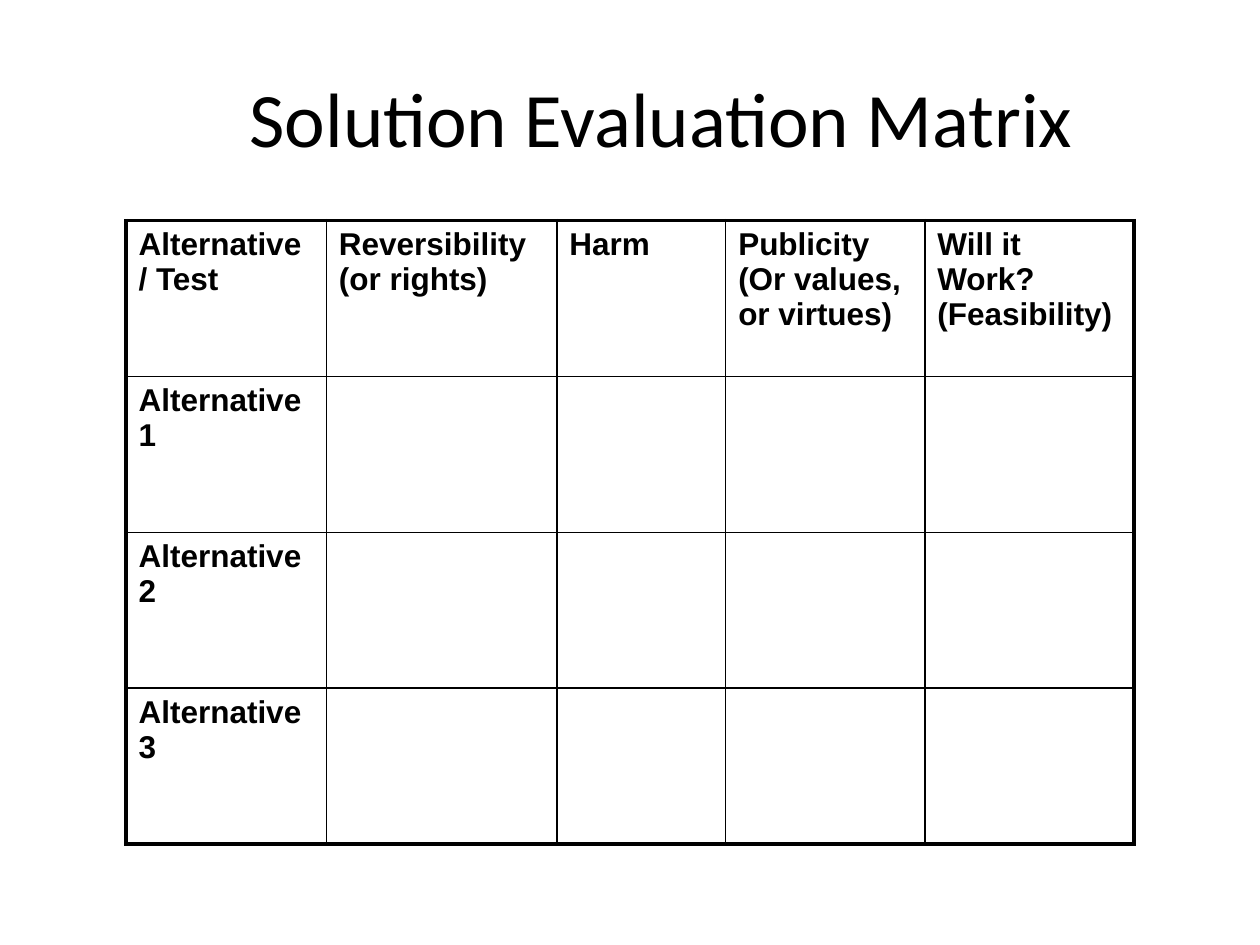
"""Build the Solution Evaluation Matrix slide."""
from dataclasses import dataclass

from lxml import etree
from pptx import Presentation
from pptx.dml.color import RGBColor
from pptx.enum.text import MSO_ANCHOR, PP_ALIGN
from pptx.oxml.ns import qn
from pptx.util import Inches, Pt

CENTER = PP_ALIGN.CENTER
MIDDLE = MSO_ANCHOR.MIDDLE
COLORS = {"ink": "000000", "paper": "FFFFFF"}
SLIDE_WIDTH, SLIDE_HEIGHT = Inches(10), Inches(7.5)
OUTER_LINE, INNER_LINE = Pt(2.25), Pt(1)


@dataclass(frozen=True)
class Area:
    """A rectangle in shares of the slide's size."""
    left: float
    top: float
    width: float
    height: float

    def lengths(self) -> tuple[int, int, int, int]:
        return (int(self.left * SLIDE_WIDTH), int(self.top * SLIDE_HEIGHT),
                int(self.width * SLIDE_WIDTH), int(self.height * SLIDE_HEIGHT))


@dataclass(frozen=True)
class Criterion:
    """A matrix column: its heading and its width in hundredths of an inch."""
    heading: str
    width: int


TITLE_AREA = Area(0.1, 0.04, 0.85, 1 / 6)
MATRIX_AREA = Area(0.1, 1.75 / 7.5, 0.8, 0.66)
CRITERIA = [
    Criterion("Alternative / Test", 159),
    Criterion("Reversibility (or rights)", 183),
    Criterion("Harm", 134),
    Criterion("Publicity (Or values, or virtues)", 158),
    Criterion("Will it Work? (Feasibility)", 166),
]
ALTERNATIVES = [f"Alternative {number}" for number in range(1, 4)]


def style_font(font, name: str, size: float, bold: bool = False) -> None:
    font.name, font.size, font.bold = name, Pt(size), bold
    font.color.rgb = RGBColor.from_string(COLORS["ink"])


def add_border(cell, side: str, width: int) -> None:
    line = etree.SubElement(cell._tc.get_or_add_tcPr(), qn(f"a:ln{side}"), w=str(width))
    fill = etree.SubElement(line, qn("a:solidFill"))
    etree.SubElement(fill, qn("a:srgbClr"), val=COLORS["ink"])


def add_title(slide, wording: str) -> None:
    frame = slide.shapes.add_textbox(*TITLE_AREA.lengths()).text_frame
    frame.word_wrap = True
    frame.vertical_anchor = MIDDLE
    heading = frame.paragraphs[0]
    heading.text, heading.alignment = wording, CENTER
    style_font(heading.font, "Calibri", 44)


def add_matrix(slide) -> None:
    rows, columns = len(ALTERNATIVES) + 1, len(CRITERIA)
    matrix = slide.shapes.add_table(rows, columns, *MATRIX_AREA.lengths()).table
    matrix.first_row = matrix.horz_banding = False
    for column, criterion in zip(matrix.columns, CRITERIA):
        column.width = Inches(criterion.width / 100)
    for column, criterion in enumerate(CRITERIA):
        entries = [criterion.heading] + (ALTERNATIVES if column == 0 else [""] * len(ALTERNATIVES))
        for row, wording in enumerate(entries):
            cell = matrix.cell(row, column)
            outer_sides = {"L": column == 0, "R": column == columns - 1,
                           "T": row == 0, "B": row == rows - 1}
            for side, is_outer in outer_sides.items():
                add_border(cell, side, OUTER_LINE if is_outer else INNER_LINE)
            cell.fill.solid()
            cell.fill.fore_color.rgb = RGBColor.from_string(COLORS["paper"])
            cell.text = wording
            style_font(cell.text_frame.paragraphs[0].font, "Arial", 18, bold=True)


def main() -> None:
    deck = Presentation()
    deck.slide_width, deck.slide_height = SLIDE_WIDTH, SLIDE_HEIGHT
    slide = deck.slides.add_slide(deck.slide_layouts[6])
    add_title(slide, "Solution Evaluation Matrix")
    add_matrix(slide)
    deck.save("out.pptx")


if __name__ == "__main__":
    main()
